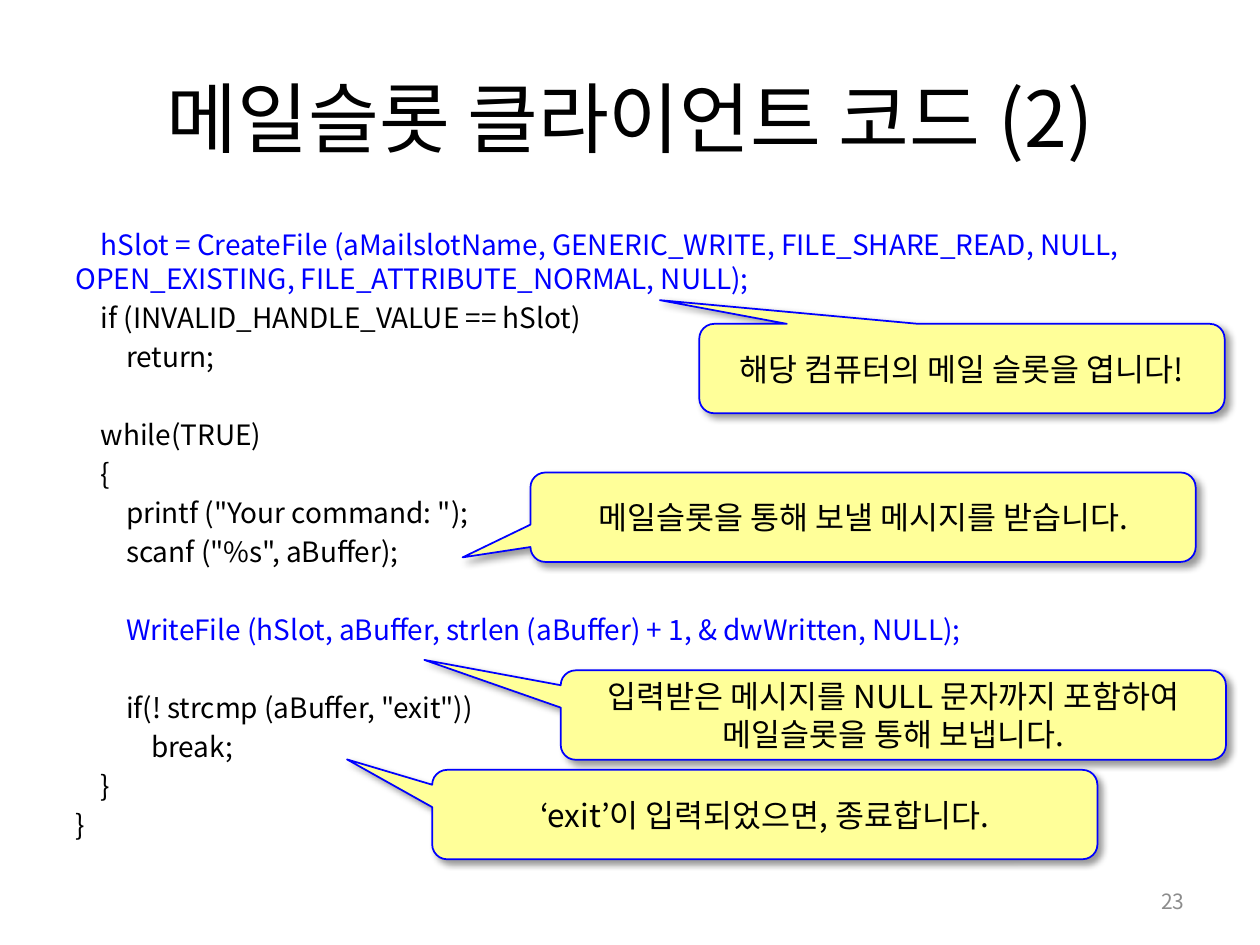
"""Build the second slide on mailslot client code."""
from dataclasses import dataclass

from lxml.etree import SubElement
from pptx import Presentation
from pptx.dml.color import RGBColor
from pptx.enum.shapes import MSO_SHAPE as Shape
from pptx.enum.text import MSO_ANCHOR as Anchor, MSO_AUTO_SIZE as Fit, PP_ALIGN as Align
from pptx.oxml import parse_xml
from pptx.oxml.ns import qn
from pptx.util import Inches, Pt

FONT = "Noto Sans CJK KR"
BLACK = RGBColor(0, 0, 0)
BLUE = RGBColor(0, 0, 255)
GRAY = RGBColor(0x8C, 0x8C, 0x8C)
YELLOW = RGBColor(0xFF, 0xFF, 0x99)
LEAD, GAP, STEP = 19.4, 2.9, 0.2
SHADOW = (
    '<a:effectLst xmlns:a="http://schemas.openxmlformats.org/drawingml/2006/main">'
    '<a:outerShdw blurRad="50800" dist="38100" dir="2700000" algn="tl" rotWithShape="0">'
    '<a:srgbClr val="000000"><a:alpha val="40000"/></a:srgbClr>'
    "</a:outerShdw></a:effectLst>"
)


@dataclass
class Line:
    """One line of code, its depth and the blank lines above it."""
    text: str
    depth: int = 1
    color: RGBColor = BLACK
    skip: int = 0


@dataclass
class Note:
    """One callout with the offset of its tip."""
    text: str
    left: float
    top: float
    tip: tuple[float, float]
    width: float = 5.28


CODE = [
    Line("hSlot = CreateFile (aMailslotName, GENERIC_WRITE, FILE_SHARE_READ, NULL, "
         "OPEN_EXISTING, FILE_ATTRIBUTE_NORMAL, NULL);", color=BLUE),
    Line("if (INVALID_HANDLE_VALUE == hSlot)"),
    Line("return;", 2),
    Line("while(TRUE)", skip=1),
    Line("{"),
    Line('printf ("Your command: ");', 2),
    Line('scanf ("%s", aBuffer);', 2),
    Line("WriteFile (hSlot, aBuffer, strlen (aBuffer) + 1, & dwWritten, NULL);", 2, BLUE, 1),
    Line('if(! strcmp (aBuffer, "exit"))', 2, skip=1),
    Line("break;", 3),
    Line("}"),
    Line("}", 0),
]
NOTES = [
    Note("해당 컴퓨터의 메일 슬롯을 엽니다!", 5.55, 2.57, (-0.575, -0.765), 4.17),
    Note("입력받은 메시지를 NULL 문자까지 포함하여 메일슬롯을 통해 보냅니다.",
         4.45, 5.32, (-0.705, -0.617)),
    Note("메일슬롯을 통해 보낼 메시지를 받습니다.", 4.21, 3.75, (-0.602, 0.449)),
    Note("‘exit’이 입력되었으면, 종료합니다.", 3.43, 6.11, (-0.628, -0.617)),
]


def write(para, text: str, *, size: float, color: RGBColor = BLACK, align=Align.CENTER) -> None:
    """Add a formatted run to a paragraph."""
    para.alignment = align
    run = para.add_run()
    run.text = text
    run.font.size = Pt(size)
    run.font.name = FONT
    run.font.color.rgb = color
    SubElement(run.font._element, qn("a:ea"), typeface=FONT)


def place(shape, left: float, top: float, width: float, height: float) -> None:
    """Move and size a shape in inches."""
    shape.left, shape.top = Inches(left), Inches(top)
    shape.width, shape.height = Inches(width), Inches(height)


def list_code(frame, lines: list[Line]) -> None:
    """Fill the body with indented code lines."""
    frame.word_wrap = True
    frame.auto_size = Fit.NONE
    for i, line in enumerate(lines):
        para = frame.add_paragraph() if i else frame.paragraphs[0]
        para.line_spacing = Pt(LEAD)
        para.space_before = Pt(GAP + line.skip * (LEAD + GAP))
        props = para._p.get_or_add_pPr()
        props.set("marL", "0")
        props.set("indent", str(Inches(STEP * line.depth)))
        SubElement(props, qn("a:buNone"))
        write(para, line.text, size=16, color=line.color, align=Align.LEFT)


def draw_note(shapes, note: Note) -> None:
    """Draw one callout."""
    box = shapes.add_shape(Shape.ROUNDED_RECTANGULAR_CALLOUT, Inches(note.left),
                           Inches(note.top), Inches(note.width), Inches(0.71))
    for i, value in enumerate((*note.tip, 0.167)):
        box.adjustments[i] = value
    box.fill.solid()
    box.fill.fore_color.rgb = YELLOW
    box.line.color.rgb = BLUE
    box.line.width = Pt(1)
    box._element.spPr.append(parse_xml(SHADOW))
    frame = box.text_frame
    frame.word_wrap = True
    frame.vertical_anchor = Anchor.MIDDLE
    write(frame.paragraphs[0], note.text, size=18)


def main() -> None:
    """Build and save the slide."""
    deck = Presentation()
    deck.slide_width, deck.slide_height = Inches(10), Inches(7.5)
    slide = deck.slides.add_slide(deck.slide_layouts[1])
    shapes = slide.shapes
    title, body = shapes.title, slide.placeholders[1]
    place(title, 0.5, 0.3, 9, 1.25)
    title.text_frame.vertical_anchor = Anchor.MIDDLE
    write(title.text_frame.paragraphs[0], "메일슬롯 클라이언트 코드 (2)", size=44)
    place(body, 0.5, 1.75, 9, 4.95)
    list_code(body.text_frame, CODE)
    page = shapes.add_textbox(Inches(7.17), Inches(6.95), Inches(2.33), Inches(0.4))
    page.text_frame.word_wrap = True
    page.text_frame.vertical_anchor = Anchor.MIDDLE
    write(page.text_frame.paragraphs[0], "23", size=12, color=GRAY, align=Align.RIGHT)
    for note in NOTES:
        draw_note(shapes, note)
    deck.save("out.pptx")


main()
